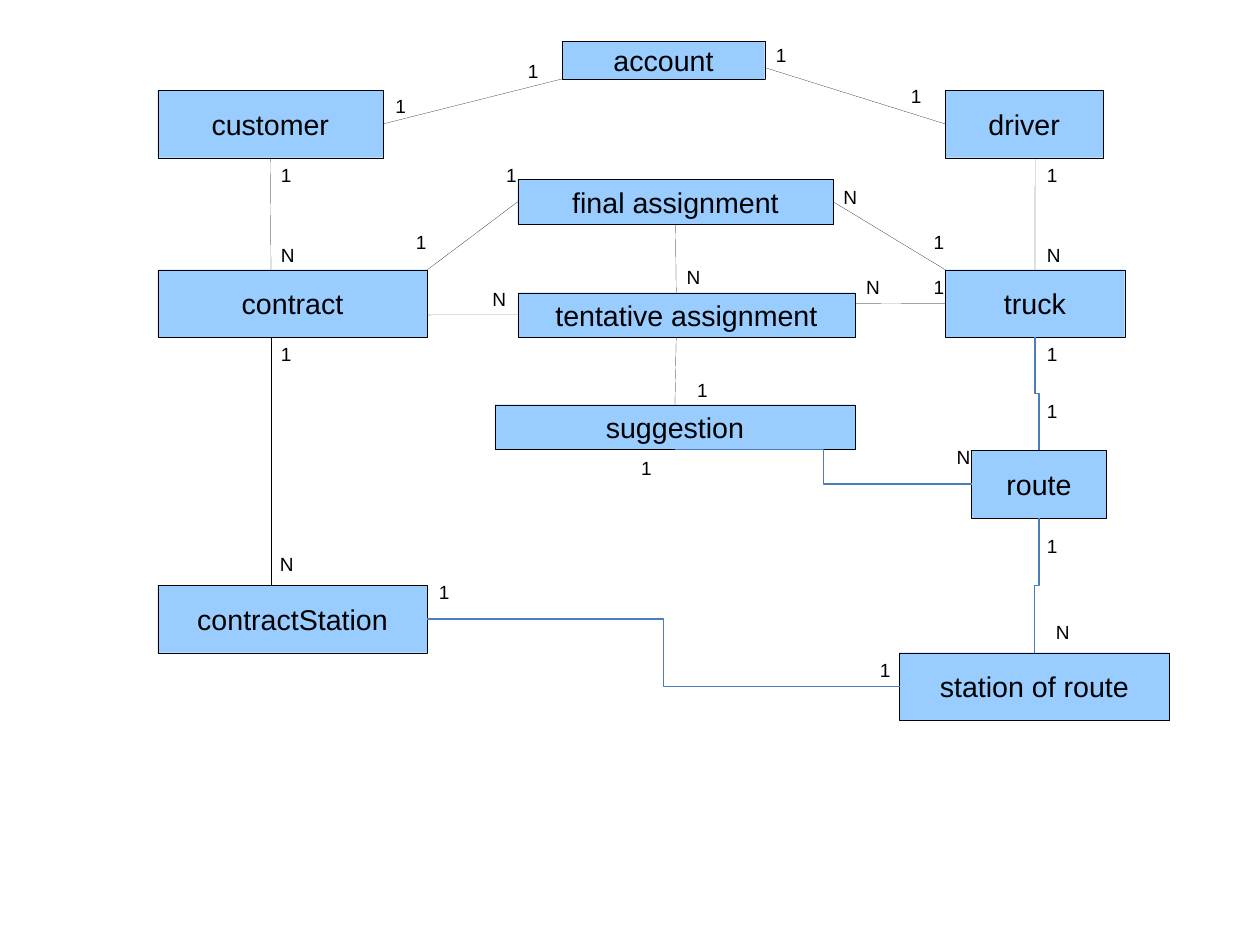
from collections import namedtuple
from lxml.etree import SubElement
from pptx import Presentation
from pptx.dml.color import RGBColor
from pptx.enum.shapes import MSO_CONNECTOR as Link, MSO_SHAPE as Shape
from pptx.enum.text import MSO_ANCHOR as Anchor, PP_ALIGN as Align
from pptx.oxml.ns import qn
from pptx.util import Inches, Pt

Box = namedtuple("Box", "left top width height")
COLORS = {"entity": "99CCFF", "ink": "000000", "elbow": "4A7EBB"}
PAGE_WIDTH = 28 / 2.54
PAGE_HEIGHT = 21 / 2.54
HAIRLINE = 0.1

ENTITIES = {
    "account": Box(4.92, 0.36, 1.77, 0.33),
    "customer": Box(1.38, 0.79, 1.97, 0.59),
    "driver": Box(8.27, 0.79, 1.38, 0.59),
    "final assignment": Box(4.53, 1.57, 2.76, 0.39),
    "contract": Box(1.38, 2.36, 2.36, 0.59),
    "tentative assignment": Box(4.53, 2.56, 2.95, 0.39),
    "truck": Box(8.27, 2.36, 1.57, 0.59),
    "suggestion": Box(4.33, 3.54, 3.15, 0.39),
    "route": Box(8.5, 3.94, 1.18, 0.59),
    "contractStation": Box(1.38, 5.12, 2.36, 0.59),
    "station of route": Box(7.87, 5.71, 2.36, 0.59),
}

STRAIGHT_LINKS = [
    ("account", 0, 1, "customer", 1, 0.5),
    ("account", 1, 0.7, "driver", 0, 0.5),
    ("customer", 0.5, 1, "contract", 0.42, 0),
    ("driver", 0.57, 1, "truck", 0.5, 0),
    ("contract", 1, 0, "final assignment", 0, 0.5),
    ("truck", 0, 0, "final assignment", 1, 0.5),
    ("contract", 1, 0.67, "tentative assignment", 0, 0.5),
    ("tentative assignment", 1, 0.25, "truck", 0, 0.5),
    ("final assignment", 0.5, 1, "tentative assignment", 0.47, 0),
    ("tentative assignment", 0.47, 1, "suggestion", 0.5, 0),
    ("contract", 0.42, 1, "contractStation", 0.42, 0),
]

ELBOW_LINKS = [
    ("suggestion", 0.5, 1, "route", 0, 0.5, False),
    ("contractStation", 1, 0.5, "station of route", 0, 0.5, False),
    ("truck", 0.5, 1, "route", 0.5, 0, True),
    ("route", 0.5, 1, "station of route", 0.5, 0, True),
]

CARDINALITIES = {
    "1": [
        (3.36, 0.78), (4.52, 0.47), (6.69, 0.33), (7.87, 0.69),
        (2.36, 1.38), (9.06, 1.38), (4.33, 1.38), (3.54, 1.97),
        (8.07, 1.97), (8.07, 2.36), (2.36, 2.95), (9.06, 2.95),
        (6, 3.26), (9.06, 3.45), (5.51, 3.94), (9.06, 4.63),
        (3.74, 5.03), (7.6, 5.71),
    ],
    "N": [
        (7.28, 1.57), (2.36, 2.08), (9.06, 2.08), (5.91, 2.27),
        (7.48, 2.36), (4.21, 2.47), (8.27, 3.85), (2.35, 4.78),
        (9.14, 5.38),
    ],
}


def color(name):
    return RGBColor.from_string(COLORS[name])


def write(shape, text, size):
    frame = shape.text_frame
    frame.text = text
    frame.word_wrap = True
    font = frame.paragraphs[0].runs[0].font
    font.name = "Arial"
    font.size = Pt(size)
    font.color.rgb = color("ink")
    return frame


def add_entity(page, name, box):
    shape = page.shapes.add_shape(Shape.RECTANGLE, *map(Inches, box))
    shape.shadow.inherit = False
    shape.fill.solid()
    shape.fill.fore_color.rgb = color("entity")
    shape.line.color.rgb = color("ink")
    shape.line.width = Pt(HAIRLINE)
    frame = write(shape, name, 18)
    frame.vertical_anchor = Anchor.MIDDLE
    frame.paragraphs[0].alignment = Align.CENTER


def add_cardinality(page, text, box):
    write(page.shapes.add_textbox(*map(Inches, box)), text, 12)


def point_on(area, name, across, down):
    box = ENTITIES[name]
    return (area.left + box.left + across * box.width,
            area.top + box.top + down * box.height)


def add_link(page, kind, start, end, line_color, width):
    link = page.shapes.add_connector(kind, *map(Inches, start + end))
    link.line.color.rgb = color(line_color)
    link.line.width = Pt(width)
    SubElement(link._element.spPr, qn("a:effectLst"))
    return link


def add_elbow(page, start, end, vertical):
    if not vertical:
        add_link(page, Link.ELBOW, start, end, "elbow", 0.75)
        return
    middle_x = (start[0] + end[0]) / 2
    middle_y = (start[1] + end[1]) / 2
    half_length = (end[1] - start[1]) / 2
    half_shift = (end[0] - start[0]) / 2
    link = add_link(page, Link.ELBOW,
                    (middle_x - half_length, middle_y + half_shift),
                    (middle_x + half_length, middle_y - half_shift),
                    "elbow", 0.75)
    link._element.spPr.find(qn("a:xfrm")).set("rot", str(90 * 60000))


def draw_diagram(page, area):
    for name, box in ENTITIES.items():
        add_entity(page, name, box._replace(
            left=area.left + box.left, top=area.top + box.top))
    for first, x1, y1, second, x2, y2 in STRAIGHT_LINKS:
        add_link(page, Link.STRAIGHT, point_on(area, first, x1, y1),
                 point_on(area, second, x2, y2), "ink", HAIRLINE)
    for first, x1, y1, second, x2, y2, vertical in ELBOW_LINKS:
        add_elbow(page, point_on(area, first, x1, y1),
                  point_on(area, second, x2, y2), vertical)
    for text, places in CARDINALITIES.items():
        for left, top in places:
            add_cardinality(page, text, Box(
                area.left + left, area.top + top, 0.39, 0.29))


def main():
    deck = Presentation()
    deck.slide_width = Inches(PAGE_WIDTH)
    deck.slide_height = Inches(PAGE_HEIGHT)
    page = deck.slides.add_slide(deck.slide_layouts[6])
    draw_diagram(page, Box(0, 0, PAGE_WIDTH, PAGE_HEIGHT))
    deck.save("out.pptx")


if __name__ == "__main__":
    main()
